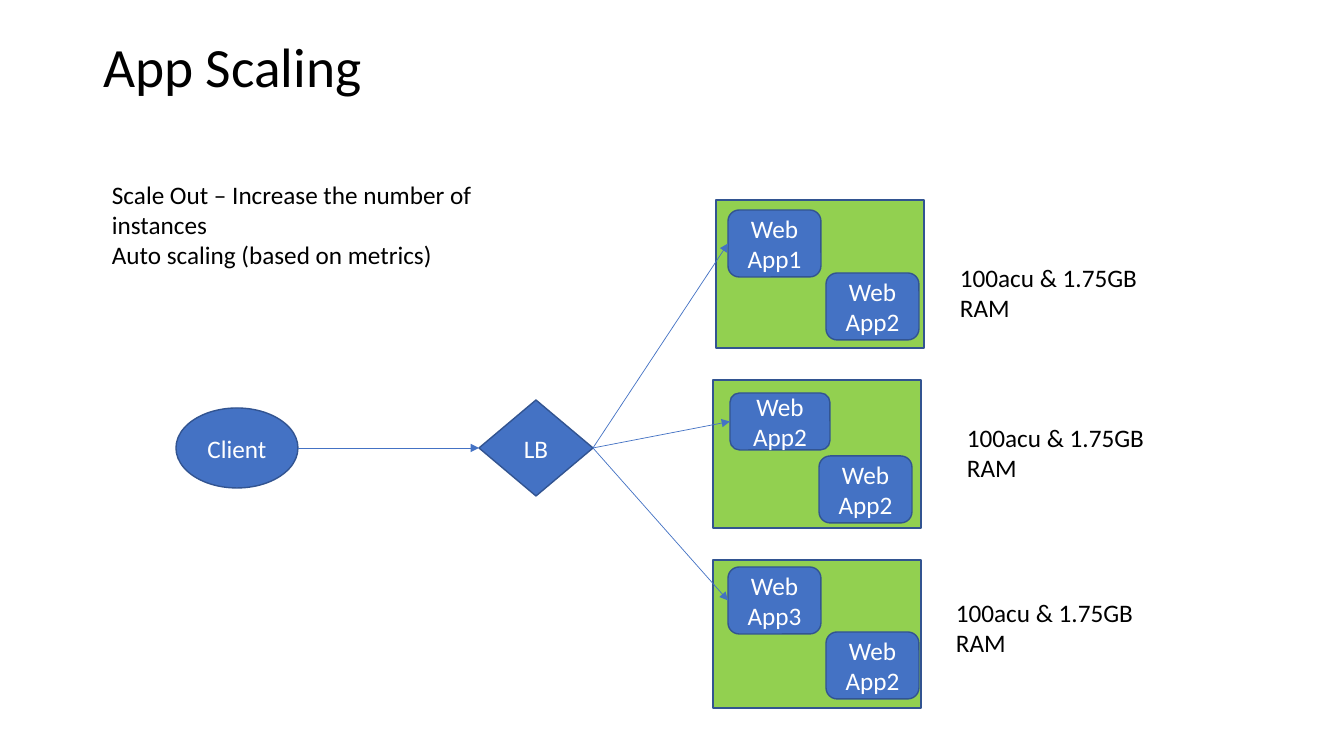
from pptx import Presentation
from pptx.dml.color import RGBColor
from pptx.enum.shapes import MSO_CONNECTOR, MSO_SHAPE
from pptx.enum.text import MSO_ANCHOR, MSO_AUTO_SIZE, PP_ALIGN
from pptx.oxml.ns import qn
from pptx.util import Emu, Pt
from lxml.etree import SubElement

BLACK = RGBColor(0, 0, 0)
WHITE = RGBColor(255, 255, 255)
BLUE = RGBColor(0x44, 0x72, 0xC4)
OUTLINE = RGBColor(0x32, 0x54, 0x91)
GREEN = RGBColor(0x92, 0xD0, 0x50)
FONT = "Calibri"
SCALE = 914400 / 100.8


def px(*values):
    return [Emu(round(v * SCALE)) for v in values]


def write(tf, lines, color, size=18, align=PP_ALIGN.LEFT):
    tf.word_wrap = True
    tf.text = "\n".join(lines)
    for p in tf.paragraphs:
        p.alignment = align
        p.font.name = FONT
        p.font.size = Pt(size)
        p.font.color.rgb = color


def add_title(s, box, text):
    sp = s.shapes.title
    sp.left, sp.top, sp.width, sp.height = px(*box)
    tf = sp.text_frame
    write(tf, [text], BLACK, 39.6)
    tf.auto_size = MSO_AUTO_SIZE.NONE
    tf.vertical_anchor = MSO_ANCHOR.MIDDLE
    tf.paragraphs[0].line_spacing = 0.9


def add_note(s, box, lines):
    sp = s.shapes.add_textbox(*px(*box))
    write(sp.text_frame, lines, BLACK)


def add_node(s, kind, box, text=None, fill=BLUE):
    sp = s.shapes.add_shape(kind, *px(*box))
    sp.shadow.inherit = False
    sp.fill.solid()
    sp.fill.fore_color.rgb = fill
    sp.line.color.rgb = OUTLINE
    sp.line.width = Pt(1)
    if text:
        write(sp.text_frame, [text], WHITE, align=PP_ALIGN.CENTER)
        sp.text_frame.vertical_anchor = MSO_ANCHOR.MIDDLE
    return sp


def add_arrow(s, source, target):
    start = source.left + source.width, source.top + source.height // 2
    end = target.left, target.top + target.height // 2
    c = s.shapes.add_connector(MSO_CONNECTOR.STRAIGHT, *start, *end)
    c.end_connect(target, 1)
    c.line.color.rgb = BLUE
    c.line.width = Pt(0.5)
    SubElement(c.line._get_or_add_ln(), qn("a:tailEnd"), type="triangle")
    SubElement(c._element.spPr, qn("a:effectLst"))
    return c


def add_server(s, box, name, app, second, note):
    x, y = box[:2]
    add_node(s, MSO_SHAPE.RECTANGLE, box, fill=GREEN)
    first = add_node(s, MSO_SHAPE.ROUNDED_RECTANGLE, (x + app[0], y + app[1], *app[2:]), name)
    add_node(s, MSO_SHAPE.ROUNDED_RECTANGLE, (x + second[0], y + second[1], *APP_SIZE), "Web App2")
    add_note(s, (x + note[0], y + note[1], 226, 72), ["100acu & 1.75GB RAM"])
    return first


def add_entry(s, box):
    x, y, w, h = box
    middle = y + h / 2
    client = add_node(s, MSO_SHAPE.OVAL, (x, middle - 40, 122, 80), "Client")
    lb = add_node(s, MSO_SHAPE.DIAMOND, (x + w - 114, y, 114, h), "LB")
    add_arrow(s, client, lb)
    return lb


APP_SIZE = (93, 67)
SERVERS = [
    ((716, 200), "Web App1", (12, 10, *APP_SIZE), (110, 73), (234, 57)),
    ((713, 380), "Web App2", (17, 13, 100, 57), (106, 76), (244, 37)),
    ((713, 560), "Web App3", (15, 7, *APP_SIZE), (113, 72), (233, 32)),
]

prs = Presentation()
prs.slide_width, prs.slide_height = px(1344, 756)
s = prs.slides.add_slide(prs.slide_layouts[5])
add_title(s, (93, 40, 1159, 60), "App Scaling")
add_note(s, (102, 174, 458, 102),
         ["Scale Out – Increase the number of instances", "Auto scaling (based on metrics)"])
lb = add_entry(s, (176, 400, 417, 96))
for origin, name, app, second, note in SERVERS:
    first = add_server(s, (*origin, 208, 148), name, app, second, note)
    add_arrow(s, lb, first).begin_connect(lb, 3)
prs.save("out.pptx")
